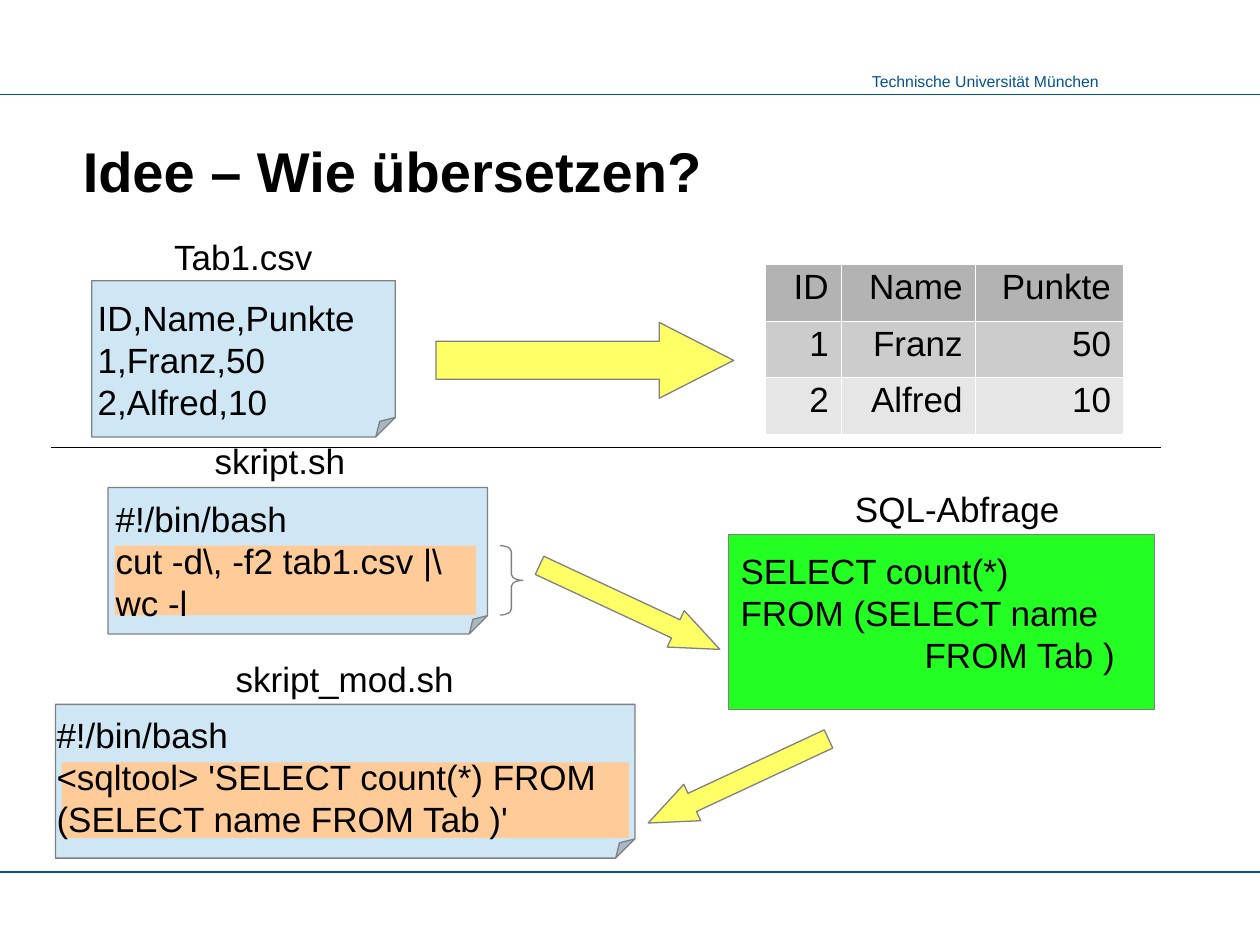
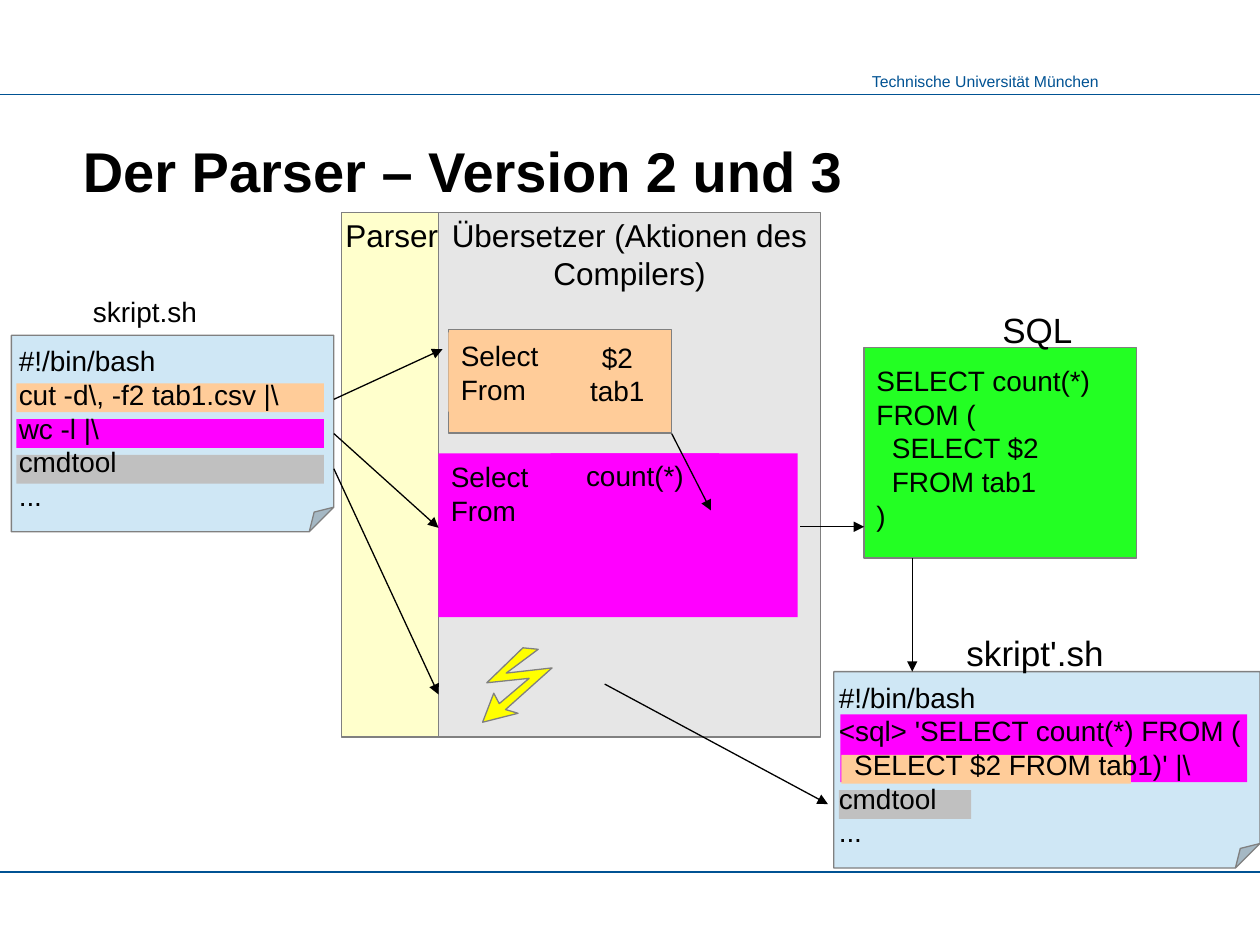
from typing import NamedTuple

from lxml.etree import SubElement
from pptx import Presentation
from pptx.dml.color import RGBColor
from pptx.enum.shapes import MSO_CONNECTOR, MSO_SHAPE as Kind
from pptx.enum.text import MSO_ANCHOR as Anchor, PP_ALIGN as Align
from pptx.oxml.ns import qn
from pptx.util import Cm, Pt

FONT = "Arial"
BLACK = RGBColor(0x00, 0x00, 0x00)
WHITE = RGBColor(0xFF, 0xFF, 0xFF)
UNIVERSITY_BLUE = RGBColor(0x00, 0x52, 0x93)
OUTLINE = RGBColor(0x80, 0x80, 0x80)
PAPER = RGBColor(0xCF, 0xE7, 0xF5)
ORANGE = RGBColor(0xFF, 0xCC, 0x99)
MAGENTA = RGBColor(0xFF, 0x00, 0xFF)
SILVER = RGBColor(0xC0, 0xC0, 0xC0)
GREEN = RGBColor(0x23, 0xFF, 0x23)
ARROW_YELLOW = RGBColor(0xFF, 0xFF, 0x66)
BOLT_YELLOW = RGBColor(0xFF, 0xFF, 0x00)
PARSER_YELLOW = RGBColor(0xFF, 0xFF, 0xCC)
PANEL_GREY = RGBColor(0xE6, 0xE6, 0xE6)
ROW_FILLS = [RGBColor(0xB3, 0xB3, 0xB3), RGBColor(0xCC, 0xCC, 0xCC), PANEL_GREY]

SLIDE_WIDTH, SLIDE_HEIGHT = 25.4, 19.05
RULE_TOPS = (1.9, 17.58)


class Box(NamedTuple):
    left: float
    top: float
    width: float
    height: float

    def inner(self, left, top, width, height):
        return Box(self.left + left, self.top + top, width, height)

    def lengths(self):
        return [Cm(value) for value in self]


def write(shape, lines, size, align=Align.LEFT, anchor=Anchor.TOP, wrap=True,
          color=BLACK, bold=False):
    frame = shape.text_frame
    frame.word_wrap = wrap
    frame.vertical_anchor = anchor
    for index, line in enumerate(lines):
        paragraph = frame.paragraphs[0] if index == 0 else frame.add_paragraph()
        paragraph.alignment = align
        add_run(paragraph, line, size, color, bold)


def add_run(paragraph, text, size, color=BLACK, bold=False):
    run = paragraph.add_run()
    run.text = text
    run.font.name = FONT
    run.font.size = Pt(size)
    run.font.bold = bold
    run.font.color.rgb = color


def add_text(slide, box, lines, size, **style):
    shape = slide.shapes.add_textbox(*box.lengths())
    write(shape, lines, size, **style)
    return shape


def paint(shape, fill, outlined):
    shape.shadow.inherit = False
    if fill is None:
        shape.fill.background()
    else:
        shape.fill.solid()
        shape.fill.fore_color.rgb = fill
    if outlined:
        shape.line.color.rgb = OUTLINE
        shape.line.width = Pt(0.75)
    else:
        shape.line.fill.background()


def set_guides(shape, guides):
    values = shape._element.spPr.find(qn("a:prstGeom")).find(qn("a:avLst"))
    for guide in list(values):
        values.remove(guide)
    for name, value in guides.items():
        SubElement(values, qn("a:gd"), name=name, fmla=f"val {round(value * 100000)}")


def add_area(slide, box, fill, kind=Kind.RECTANGLE, outlined=False, guides=None):
    shape = slide.shapes.add_shape(kind, *box.lengths())
    if guides:
        set_guides(shape, guides)
    paint(shape, fill, outlined)
    return shape


def add_line(slide, start, end, color=BLACK, arrow=False):
    points = [Cm(value) for value in (*start, *end)]
    line = slide.shapes.add_connector(MSO_CONNECTOR.STRAIGHT, *points)
    line.line.color.rgb = color
    line.line.width = Pt(0.75)
    if arrow:
        SubElement(line.line._get_or_add_ln(), qn("a:tailEnd"), type="triangle")
    SubElement(line._element.spPr, qn("a:effectLst"))
    return line


def add_frame(presentation, title):
    slide = presentation.slides.add_slide(presentation.slide_layouts[6])
    add_text(slide, Box(17.3, 1.32, 5.1, 0.64), ["Technische Universität München"], 9,
             align=Align.RIGHT, wrap=False, color=UNIVERSITY_BLUE)
    for top in RULE_TOPS:
        add_line(slide, (0, top), (SLIDE_WIDTH, top), UNIVERSITY_BLUE)
    add_text(slide, Box(1.42, 1.27, 22.58, 2.97), [title], 32,
             anchor=Anchor.BOTTOM, bold=True)
    return slide


def add_card(slide, box, label, label_right, label_rise, label_size, lines, size,
             text_left=0, text_top=0.05, stripes=(), query=False):
    if query:
        card = add_area(slide, box, GREEN, outlined=True)
    else:
        card = add_area(slide, box, PAPER, Kind.FOLDED_CORNER, True, {"adj": 0.125})
    for stripe, color in stripes:
        add_area(slide, box.inner(*stripe), color)
    text_box = box.inner(text_left, text_top, box.width - 2 * text_left, box.height)
    text = add_text(slide, text_box, lines, size)
    add_text(slide, box.inner(label_right - 5.5, -label_rise, 5.5, 1.1), [label],
             label_size, align=Align.RIGHT)
    return card, text


def add_block_arrow(slide, box, head, kind=Kind.RIGHT_ARROW, rotation=0):
    arrow = add_area(slide, box, ARROW_YELLOW, kind, True, {"adj1": 0.5, "adj2": head})
    arrow.rotation = rotation


def add_score_table(slide, box, widths, rows):
    table = slide.shapes.add_table(len(rows), len(widths), *box.lengths()).table
    table.first_row = table.horz_banding = False
    for column, width in zip(table.columns, widths):
        column.width = Cm(width)
    for table_row, values, fill in zip(table.rows, rows, ROW_FILLS):
        table_row.height = Cm(box.height / len(rows))
        for cell, value in zip(table_row.cells, values):
            properties = cell._tc.get_or_add_tcPr()
            for side in ("lnL", "lnR", "lnT", "lnB"):
                border = SubElement(properties, qn(f"a:{side}"), w="762")
                solid = SubElement(border, qn("a:solidFill"))
                SubElement(solid, qn("a:srgbClr"), val=str(WHITE))
            cell.fill.solid()
            cell.fill.fore_color.rgb = fill
            paragraph = cell.text_frame.paragraphs[0]
            paragraph.alignment = Align.RIGHT
            paragraph.line_spacing = 0.93
            add_run(paragraph, value, 20)


def build_idea_slide(presentation):
    slide = add_frame(presentation, "Idee – Wie übersetzen?")
    add_card(slide, Box(1.85, 5.66, 6.12, 3.15), "Tab1.csv", 4.7, 1.04, 20,
             ["ID,Name,Punkte", "1,Franz,50", "2,Alfred,10"], 20, -0.13, 0.2)
    add_block_arrow(slide, Box(8.79, 6.5, 6, 1.53), 0.98)
    add_score_table(slide, Box(15.43, 5.33, 7.22, 3.42), (1.53, 2.7, 2.99),
                    [("ID", "Name", "Punkte"), ("1", "Franz", "50"),
                     ("2", "Alfred", "10")])
    add_line(slide, (1.03, 9.02), (23.4, 9.02))

    _, query = add_card(slide, Box(14.68, 10.77, 8.59, 3.53), "SQL-Abfrage", 6.93, 1.07, 20,
                        ["SELECT count(*)", "FROM (SELECT name", "FROM Tab )"], 20,
                        text_top=0.18, query=True)
    nested_line = query.text_frame.paragraphs[-1]
    nested_line._p.get_or_add_pPr().set("marL", str(Cm(3.71)))

    script = Box(2.18, 9.83, 7.65, 2.95)
    add_card(slide, script, "skript.sh", 5.03, 1.09, 20,
             ["#!/bin/bash", "cut -d\\, -f2 tab1.csv |\\ wc -l"], 20, -0.1, 0.08,
             [((0.13, 1.17, 7.29, 1.4), ORANGE)])
    add_area(slide, script.inner(7.9, 1.17, 0.46, 1.4), None, Kind.RIGHT_BRACE, True,
             {"adj1": 0.26, "adj2": 0.5})
    add_block_arrow(slide, Box(10.69, 11.84, 4.01, 0.81), 1.21, rotation=25)

    add_card(slide, Box(1.12, 14.2, 11.68, 3.1), "skript_mod.sh", 8.28, 1.07, 20,
             ["#!/bin/bash", "<sqltool> 'SELECT count(*) FROM (SELECT name FROM Tab )'"],
             20, -0.23, 0.05, [((0.13, 1.17, 11.43, 1.52), ORANGE)])
    add_block_arrow(slide, Box(12.88, 15.34, 4.01, 0.81), 1.21, Kind.LEFT_ARROW, 335)


def add_panels(slide, box, parser_width):
    add_area(slide, box.inner(0, 0, parser_width + 0.07, box.height), PARSER_YELLOW,
             outlined=True)
    translator = box.inner(parser_width, 0, box.width - parser_width, box.height)
    add_area(slide, translator, PANEL_GREY, outlined=True)
    add_text(slide, box.inner(-0.28, -0.05, 2.6, 1.02), ["Parser"], 18, align=Align.CENTER)
    add_text(slide, translator.inner(0, -0.05, translator.width, 1.78),
             ["Übersetzer (Aktionen des Compilers)"], 18, align=Align.CENTER)


def add_clause(slide, box, fill, values, outlined=False):
    text_box = box
    if outlined:
        add_area(slide, box, fill, outlined=True)
        text_box = box.inner(0, 0.05, box.width - 0.08, 1.6)
    write(add_area(slide, text_box, fill), ["Select", "From"], 16)
    for value, place in values:
        write(add_area(slide, box.inner(*place), fill), [value], 16,
              align=Align.CENTER, anchor=Anchor.MIDDLE, wrap=False)


def add_bolt(slide, box):
    outline = [(1, 0.27), (0.34, 0.34), (0.8, 0.02), (0.58, 0), (0.06, 0.47), (0.67, 0.41),
               (0.24, 0.75), (0.16, 0.61), (0, 1), (0.51, 0.88), (0.33, 0.83)]
    points = [(Cm(box.left + x * box.width), Cm(box.top + y * box.height))
              for x, y in outline]
    builder = slide.shapes.build_freeform(*points[0], scale=1.0)
    builder.add_line_segments(points[1:], close=True)
    paint(builder.convert_to_shape(), BOLT_YELLOW, True)


def build_parser_slide(presentation):
    slide = add_frame(presentation, "Der Parser – Version 2 und 3")
    add_panels(slide, Box(6.88, 4.29, 9.66, 10.57), 1.96)

    stripes = [((0.1, 0.97 + 0.72 * index, 6.2, 0.58), color)
               for index, color in enumerate((ORANGE, MAGENTA, SILVER))]
    script, _ = add_card(slide, Box(0.23, 6.76, 6.5, 3.96), "skript.sh", 3.99, 0.94, 16,
                         ["#!/bin/bash", "cut -d\\, -f2 tab1.csv |\\", "wc -l |\\",
                          "cmdtool", "..."], 16, -0.1, stripes=stripes)
    add_card(slide, Box(17.42, 7.01, 5.49, 4.24), "SQL", 4.45, 0.91, 20,
             ["SELECT count(*)", "FROM (", "  SELECT $2", "  FROM tab1", ")"], 16,
             text_top=0.2, query=True)
    add_card(slide, Box(16.81, 13.54, 8.59, 3.96), "skript'.sh", 5.69, 0.94, 20,
             ["#!/bin/bash", "<sql> 'SELECT count(*) FROM (",
              "  SELECT $2 FROM tab1)' |\\", "cmdtool", "..."], 16, -0.15,
             stripes=[((0.13, 0.86, 8.2, 1.37), MAGENTA),
                      ((0.15, 1.68, 5.84, 0.58), ORANGE),
                      ((0.1, 2.39, 2.67, 0.58), SILVER)])

    add_clause(slide, Box(8.84, 9.14, 7.24, 3.3), MAGENTA,
               [("count(*)", (2.26, 0, 3.4, 0.89))])
    add_clause(slide, Box(9.04, 6.65, 4.5, 2.08), ORANGE,
               [("tab1", (2.39, 0.99, 2.03, 0.46)), ("$2", (2.39, 0.33, 2.03, 0.46))],
               outlined=True)
    add_bolt(slide, Box(9.73, 13.06, 1.4, 1.5))

    to_count = add_line(slide, (6.73, 8.74), (8.84, 10.64), arrow=True)
    to_count.begin_connect(script, 3)
    for start, end in [((6.73, 8.05), (8.92, 7.04)),
                       ((6.73, 9.45), (8.84, 14)),
                       ((13.54, 8.74), (14.33, 10.29)),
                       ((16.13, 10.62), (17.42, 10.62)),
                       ((18.39, 11.25), (18.39, 13.54)),
                       ((12.19, 13.79), (16.69, 16.21))]:
        add_line(slide, start, end, arrow=True)


def main():
    presentation = Presentation()
    presentation.slide_width = Cm(SLIDE_WIDTH)
    presentation.slide_height = Cm(SLIDE_HEIGHT)
    build_idea_slide(presentation)
    build_parser_slide(presentation)
    presentation.save("out.pptx")


if __name__ == "__main__":
    main()
